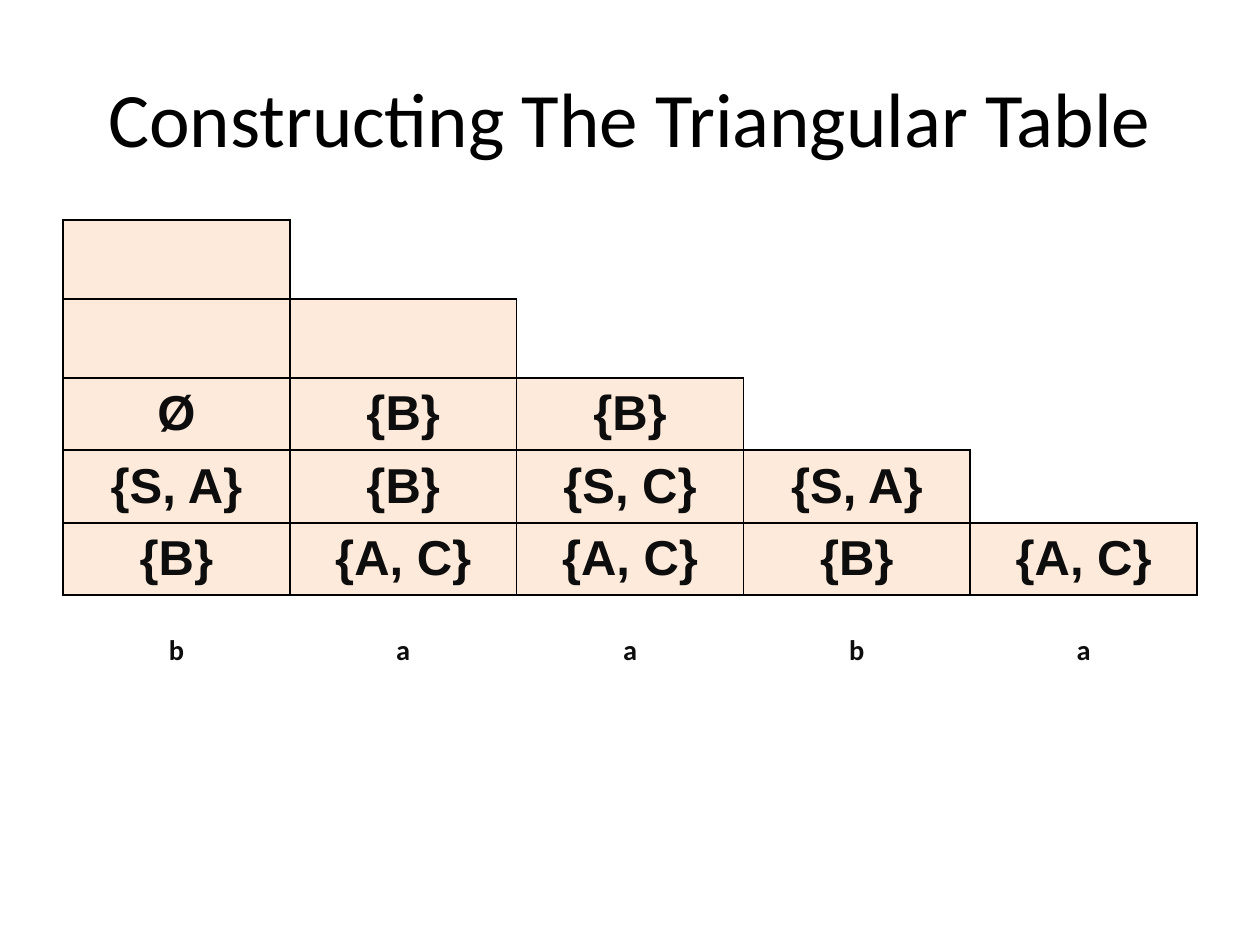
from lxml import etree
from pptx import Presentation
from pptx.dml.color import RGBColor
from pptx.enum.text import MSO_ANCHOR, PP_ALIGN
from pptx.oxml.ns import qn
from pptx.util import Emu, Pt

MIDDLE = MSO_ANCHOR.MIDDLE
CENTER = PP_ALIGN.CENTER
EMU_PER_PX = 914400 / 126
NO_STYLE = "{2D5ABB26-0587-4C30-8999-92F81FD0307C}"

BLACK = "000000"
INK = "0D0D0D"
PEACH = "FDEADA"

TITLE_BOX = (63, 38, 1134, 158)
TABLE_BOX = (63, 220, 1134, 453)
ROW_HEIGHTS = [79, 79, 72, 73, 72, 78]
TRIANGLE = [
    [""],
    ["", ""],
    ["Ø", "{B}", "{B}"],
    ["{S, A}", "{B}", "{S, C}", "{S, A}"],
    ["{B}", "{A, C}", "{A, C}", "{B}", "{A, C}"],
]
WORD = "baaba"


def px(length):
    return Emu(round(length * EMU_PER_PX))


def color(hex_string):
    return RGBColor.from_string(hex_string)


def write(frame, text, size=28, font="Arial", ink=INK, bold=True, baseline=None):
    paragraph = frame.paragraphs[0]
    paragraph.alignment = CENTER
    run = paragraph.add_run()
    run.text = text
    run.font.size = Pt(size)
    run.font.name = font
    run.font.bold = bold
    run.font.color.rgb = color(ink)
    if baseline is not None:
        run.font._element.set("baseline", str(baseline * 1000))


def outline(cell, ink=BLACK, width=1):
    """Draw all four borders; call before the cell gets its fill."""
    properties = cell._tc.get_or_add_tcPr()
    for side in ("a:lnL", "a:lnR", "a:lnT", "a:lnB"):
        border = etree.SubElement(properties, qn(side), w=str(Pt(width)))
        fill = etree.SubElement(border, qn("a:solidFill"))
        etree.SubElement(fill, qn("a:srgbClr"), val=ink)


def place_title(slide, box):
    title = slide.shapes.title
    title.left, title.top, title.width, title.height = map(px, box)
    title.text_frame.vertical_anchor = MIDDLE
    write(title.text_frame, "Constructing The Triangular Table",
          size=44, font="Calibri", ink=BLACK, bold=False)


def place_triangle(slide, box):
    frame = slide.shapes.add_table(len(ROW_HEIGHTS), len(WORD), *map(px, box))
    table = frame.table
    table.first_row = table.horz_banding = False
    table._tbl.tblPr.find(qn("a:tableStyleId")).text = NO_STYLE
    for row, height in zip(table.rows, ROW_HEIGHTS):
        row.height = px(height)
    for cell in table.iter_cells():
        cell.vertical_anchor = MIDDLE

    for row, entries in enumerate(TRIANGLE):
        for column in range(len(WORD)):
            cell = table.cell(row, column)
            if column >= len(entries):
                cell.fill.background()
                continue
            outline(cell)
            cell.fill.solid()
            cell.fill.fore_color.rgb = color(PEACH)
            if entries[column]:
                write(cell.text_frame, entries[column])

    for column, letter in enumerate(WORD):
        cell = table.cell(len(TRIANGLE), column)
        cell.fill.background()
        write(cell.text_frame, letter, font="Calibri", baseline=-25)


def main():
    presentation = Presentation()
    presentation.slide_width = px(1260)
    presentation.slide_height = px(945)
    slide = presentation.slides.add_slide(presentation.slide_layouts[5])
    place_title(slide, TITLE_BOX)
    place_triangle(slide, TABLE_BOX)
    presentation.save("out.pptx")


if __name__ == "__main__":
    main()
